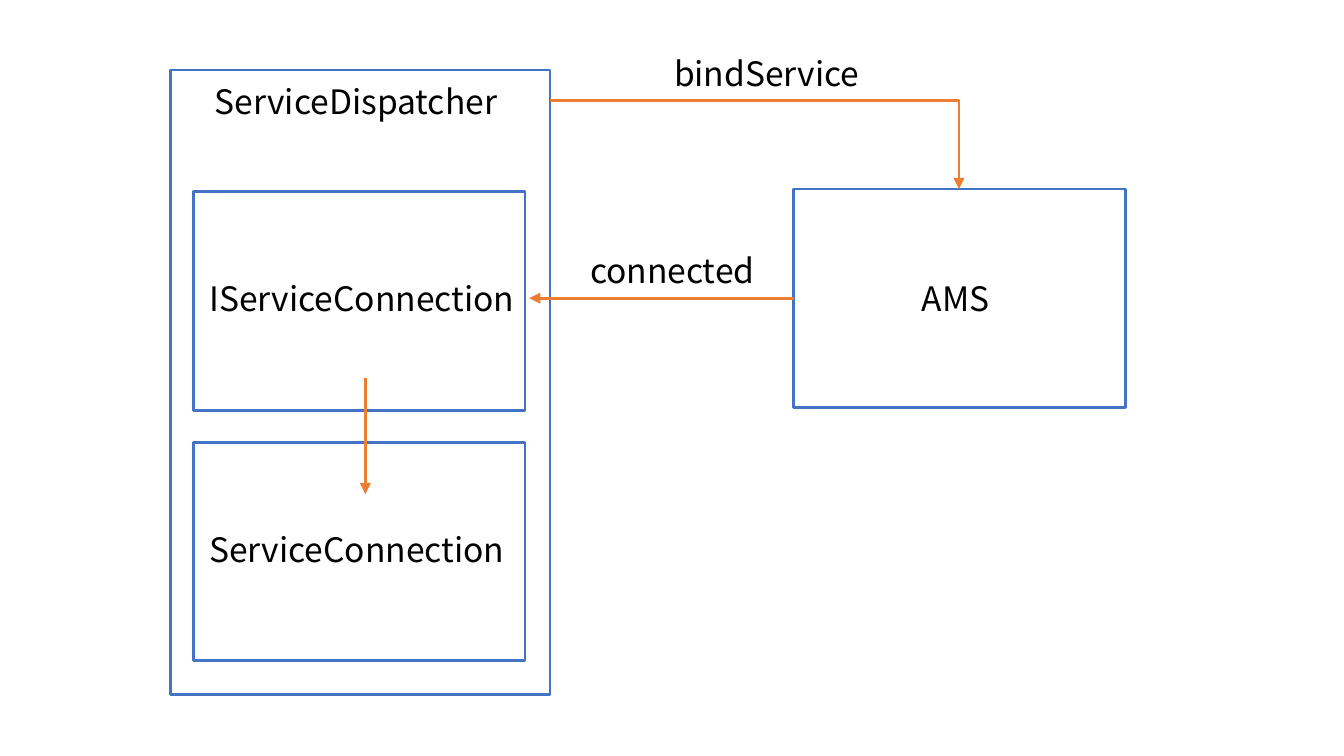
from typing import NamedTuple

from lxml import etree
from pptx import Presentation
from pptx.dml.color import RGBColor
from pptx.enum.shapes import MSO_CONNECTOR, MSO_SHAPE
from pptx.enum.text import MSO_AUTO_SIZE
from pptx.oxml.ns import qn
from pptx.util import Emu, Pt

RECT = MSO_SHAPE.RECTANGLE
STRAIGHT, ELBOW = MSO_CONNECTOR.STRAIGHT, MSO_CONNECTOR.ELBOW
FIT_SHAPE = MSO_AUTO_SIZE.SHAPE_TO_FIT_TEXT

PX = 9525  # 96 px to the inch
COLORS = {"box": "4472C4", "arrow": "ED7D31", "text": "000000"}
FONT = "Noto Sans CJK SC"
LINE = Pt(1.5)
LABEL_H = 39
LEFT = 1


class Box(NamedTuple):
    x: int
    y: int
    w: int
    h: int


class Label(NamedTuple):
    text: str
    x: int
    y: int
    w: int


class Arrow(NamedTuple):
    x1: int
    y1: int
    x2: int
    y2: int
    kind: MSO_CONNECTOR = STRAIGHT


DISPATCHER = Box(122, 50, 271, 446)
CONNECTION = Box(138, 316, 237, 156)
I_CONNECTION = Box(138, 137, 237, 156)
AMS = Box(567, 135, 237, 156)

LABELS = [
    Label("ServiceDispatcher", 144, 53, 227),
    Label("ServiceConnection", 140, 373, 236),
    Label("IServiceConnection", 140, 194, 243),
    Label("AMS", 649, 194, 74),
    Label("connected", 412, 174, 141),
    Label("bindService", 472, 33, 155),
]

CONNECTED = Arrow(AMS.x, AMS.y + AMS.h // 2, 378, AMS.y + AMS.h // 2)
FORWARD = Arrow(261, 270, 261, 353)
BIND = Arrow(DISPATCHER.x + DISPATCHER.w, 72, AMS.x + AMS.w // 2, AMS.y, ELBOW)


def px(n: int) -> Emu:
    return Emu(n * PX)


def rgb(name: str) -> RGBColor:
    return RGBColor.from_string(COLORS[name])


def add_box(s, box: Box):
    sp = s.shapes.add_shape(RECT, *map(px, box))
    sp.shadow.inherit = False
    sp.fill.background()
    sp.line.color.rgb = rgb("box")
    sp.line.width = LINE
    return sp


def add_label(s, label: Label) -> None:
    sp = s.shapes.add_textbox(px(label.x), px(label.y), px(label.w), px(LABEL_H))
    tf = sp.text_frame
    tf.word_wrap = False
    tf.auto_size = FIT_SHAPE
    tf.text = label.text
    font = tf.paragraphs[0].runs[0].font
    font.name = FONT
    font.size = Pt(18)
    font.color.rgb = rgb("text")


def add_arrow(s, arrow: Arrow):
    cxn = s.shapes.add_connector(arrow.kind, *map(px, arrow[:4]))
    cxn.line.color.rgb = rgb("arrow")
    cxn.line.width = LINE
    sp_pr = cxn._element.spPr
    etree.SubElement(sp_pr.find(qn("a:ln")), qn("a:tailEnd"), type="triangle")
    etree.SubElement(sp_pr, qn("a:effectLst"))
    if arrow.kind == ELBOW:  # a single bend
        sp_pr.find(qn("a:prstGeom")).set("prst", "bentConnector2")
    return cxn


def main() -> None:
    prs = Presentation()
    prs.slide_width, prs.slide_height = px(960), px(540)
    s = prs.slides.add_slide(prs.slide_layouts[6])

    # Components
    for box in (DISPATCHER, CONNECTION, I_CONNECTION):
        add_box(s, box)
    ams = add_box(s, AMS)

    # Calls between them
    add_arrow(s, CONNECTED).begin_connect(ams, LEFT)
    add_arrow(s, FORWARD)
    add_arrow(s, BIND)

    # Names
    for label in LABELS:
        add_label(s, label)

    prs.save("out.pptx")


if __name__ == "__main__":
    main()
